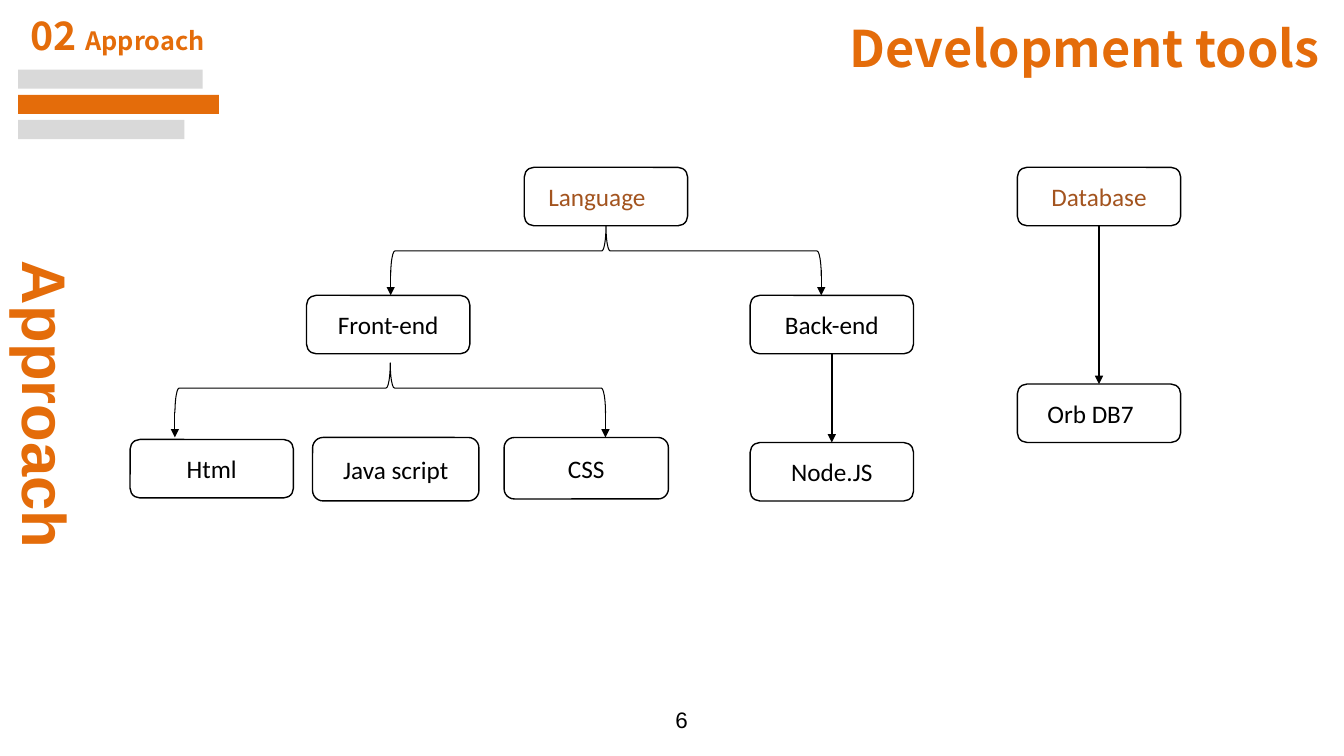
import pptx
import pptx.util
import pptx.dml.color
import pptx.enum.shapes
import pptx.enum.text
import pptx.oxml.ns
from lxml import etree

Inches, Pt = pptx.util.Inches, pptx.util.Pt
RGBColor = pptx.dml.color.RGBColor
Shape = pptx.enum.shapes.MSO_SHAPE
Align = pptx.enum.text.PP_ALIGN
Anchor = pptx.enum.text.MSO_ANCHOR
qn = pptx.oxml.ns.qn

ORANGE = RGBColor(0xE4, 0x6C, 0x0A)
BROWN = RGBColor(0xA3, 0x54, 0x1F)
GRAY = RGBColor(0xD9, 0xD9, 0xD9)
BLACK = RGBColor(0, 0, 0)
WHITE = RGBColor(0xFF, 0xFF, 0xFF)
HEADING_FONT, LABEL_FONT, PLAIN_FONT = "Noto Sans CJK SC", "Calibri", "Arial"


def set_values(target, values):
    for name, value in values.items():
        setattr(target, name, value)


class SlideBuilder:
    """Holds the shared style and the slide being built."""

    node_size = (1.62, 0.58)
    branch_span, branch_height, drop = 4.27, 0.5, 0.25

    def __init__(self, deck):
        self.page = deck.slides.add_slide(deck.slide_layouts[5])
        self.shapes = self.page.shapes

    def add_span(self, para, text, font, size, color, bold=False):
        span = para.add_run()
        span.text = text
        set_values(span.font, {"name": font, "size": Pt(size), "bold": bold})
        span.font.color.rgb = color

    def title(self, text, left, top, width, height):
        box = self.shapes.title
        set_values(box, {"left": Inches(left), "top": Inches(top),
                         "width": Inches(width), "height": Inches(height)})
        set_values(box.text_frame, {"vertical_anchor": Anchor.BOTTOM, "word_wrap": True,
                                    "auto_size": pptx.enum.text.MSO_AUTO_SIZE.NONE})
        para = box.text_frame.paragraphs[0]
        para.alignment = Align.RIGHT
        self.add_span(para, text, HEADING_FONT, 36, ORANGE, True)

    def text(self, left, top, width, height, wrap=True):
        box = self.shapes.add_textbox(*map(Inches, (left, top, width, height)))
        box.text_frame.word_wrap = wrap
        return box

    def shape(self, kind, left, top, width, height, fill=None, line=None, weight=1):
        shape = self.shapes.add_shape(kind, *map(Inches, (left, top, width, height)))
        shape.shadow.inherit = False
        if fill is None:
            shape.fill.background()
        else:
            shape.fill.solid()
            shape.fill.fore_color.rgb = fill
        if line is None:
            shape.line.fill.background()
        else:
            shape.line.color.rgb = line
            shape.line.width = Pt(weight)
        return shape

    def node(self, text, left, top, color=BLACK, size=node_size, indent=None):
        box = self.shape(Shape.ROUNDED_RECTANGLE, left, top, *size, WHITE, BLACK)
        frame = box.text_frame
        set_values(frame, {"vertical_anchor": Anchor.MIDDLE, "word_wrap": True})
        para = frame.paragraphs[0]
        if indent is None:
            para.alignment = Align.CENTER
        else:
            para.alignment = Align.LEFT
            frame.margin_left = Inches(indent)
        self.add_span(para, text, LABEL_FONT, 18, color)
        return box

    def arrow(self, start=(0, 0), end=(0, 0), weight=1, joins=None):
        line = self.shapes.add_connector(
            pptx.enum.shapes.MSO_CONNECTOR.STRAIGHT, *map(Inches, (*start, *end)))
        if joins:
            line.begin_connect(joins[0], 2)
            line.end_connect(joins[1], 0)
        line.line.color.rgb = BLACK
        line.line.width = Pt(weight)
        outline = line._element.spPr.find(qn("a:ln"))
        etree.SubElement(outline, qn("a:tailEnd"), type="triangle")
        etree.SubElement(line._element.spPr, qn("a:effectLst"))

    def branch(self, center, top, drop_top):
        """A brace opening downward, with an arrow below each end."""
        middle = top + self.branch_height / 2
        brace = self.shape(Shape.LEFT_BRACE, center - self.branch_height / 2,
                           middle - self.branch_span / 2, self.branch_height,
                           self.branch_span, line=BLACK, weight=0.75)
        brace.rotation = 90
        for side in (-1, 1):
            x = center + side * self.branch_span / 2
            self.arrow((x, drop_top), (x, drop_top + self.drop), 0.75)


def main():
    deck = pptx.Presentation()
    deck.slide_width, deck.slide_height = Inches(13.33), Inches(7.5)
    slide = SlideBuilder(deck)

    # Section header and bars
    header = slide.text(0.2, 0.12, 3.97, 0.52)
    para = header.text_frame.paragraphs[0]
    para.line_spacing = 0.9
    tabs = etree.SubElement(para._p.get_or_add_pPr(), qn("a:tabLst"))
    etree.SubElement(tabs, qn("a:tab"), pos=str(Inches(0.55)), algn="l")
    slide.add_span(para, "02", HEADING_FONT, 28, ORANGE, True)
    slide.add_span(para, "\tApproach", HEADING_FONT, 18, ORANGE, True)
    for row, (width, color) in enumerate([(1.83, GRAY), (1.99, ORANGE), (1.65, GRAY)]):
        slide.shape(Shape.RECTANGLE, 0.18, 0.69 + 0.25 * row, width, 0.19, color)

    # Title, side label and page number
    slide.title("Development tools", 5.03, 0.11, 8.16, 0.71)
    side = slide.text(-1.08, 3.61, 3.08, 0.84, wrap=False)
    side.rotation = 90
    slide.add_span(side.text_frame.paragraphs[0], "Approach", PLAIN_FONT, 44, ORANGE, True)
    number = slide.text(6.65, 6.96, 0.17, 0.37, wrap=False)
    set_values(number.text_frame, {"margin_left": Inches(0.05), "margin_right": 0})
    slide.add_span(number.text_frame.paragraphs[0], "6", PLAIN_FONT, 16, BLACK)

    # Database column
    database = slide.node("Database", 10.09, 1.66, BROWN)
    product = slide.node("Orb DB7", 10.09, 3.81, indent=0.27)

    # Language tree
    slide.node("Language", 5.2, 1.66, BROWN, indent=0.21)
    slide.node("Front-end", 3.04, 2.93)
    back_end = slide.node("Back-end", 7.44, 2.93)
    slide.node("Html", 1.29, 4.36)
    slide.node("Java script", 3.1, 4.34, size=(1.65, 0.63))
    slide.node("CSS", 5, 4.34, size=(1.63, 0.61))
    runtime = slide.node("Node.JS", 7.44, 4.39)

    # Links
    slide.arrow(joins=(back_end, runtime))
    slide.arrow(joins=(database, product))
    slide.branch(3.87, 3.6, 4.09)
    slide.branch(6.01, 2.24, 2.68)

    deck.save("out.pptx")


if __name__ == "__main__":
    main()
